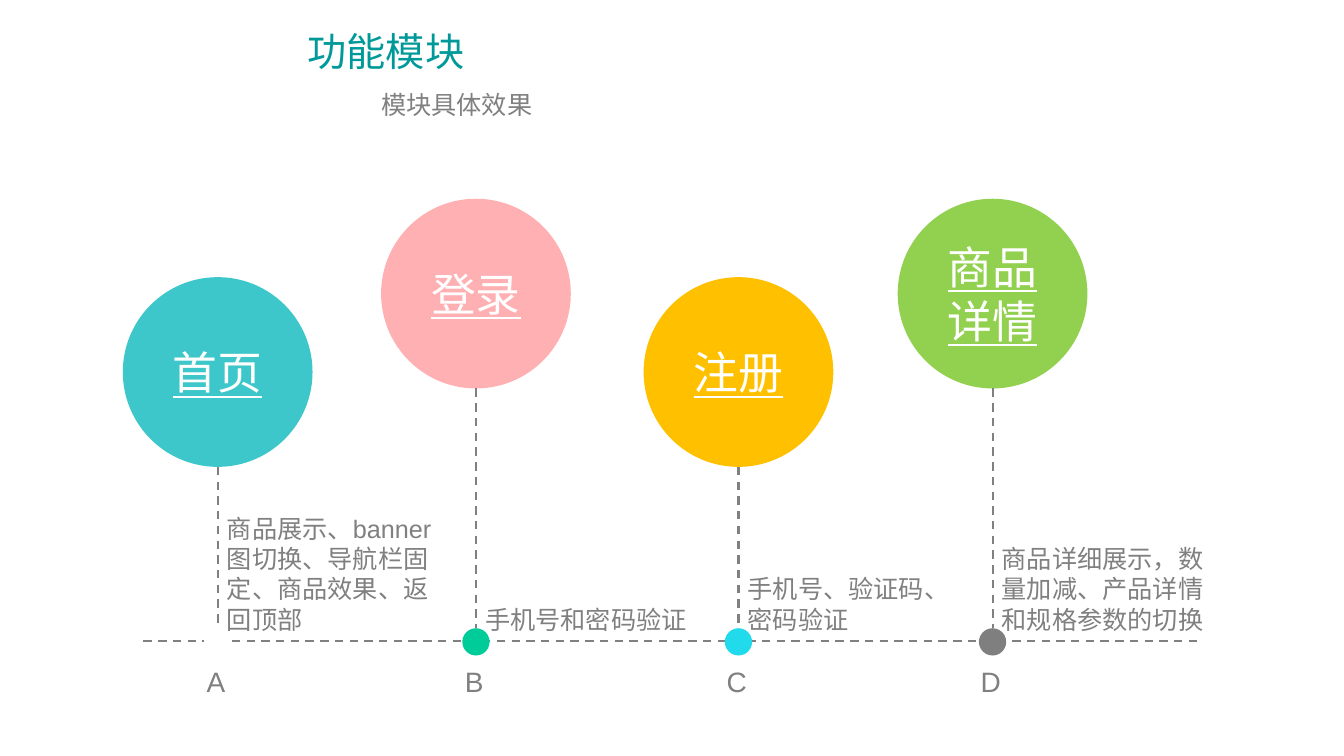
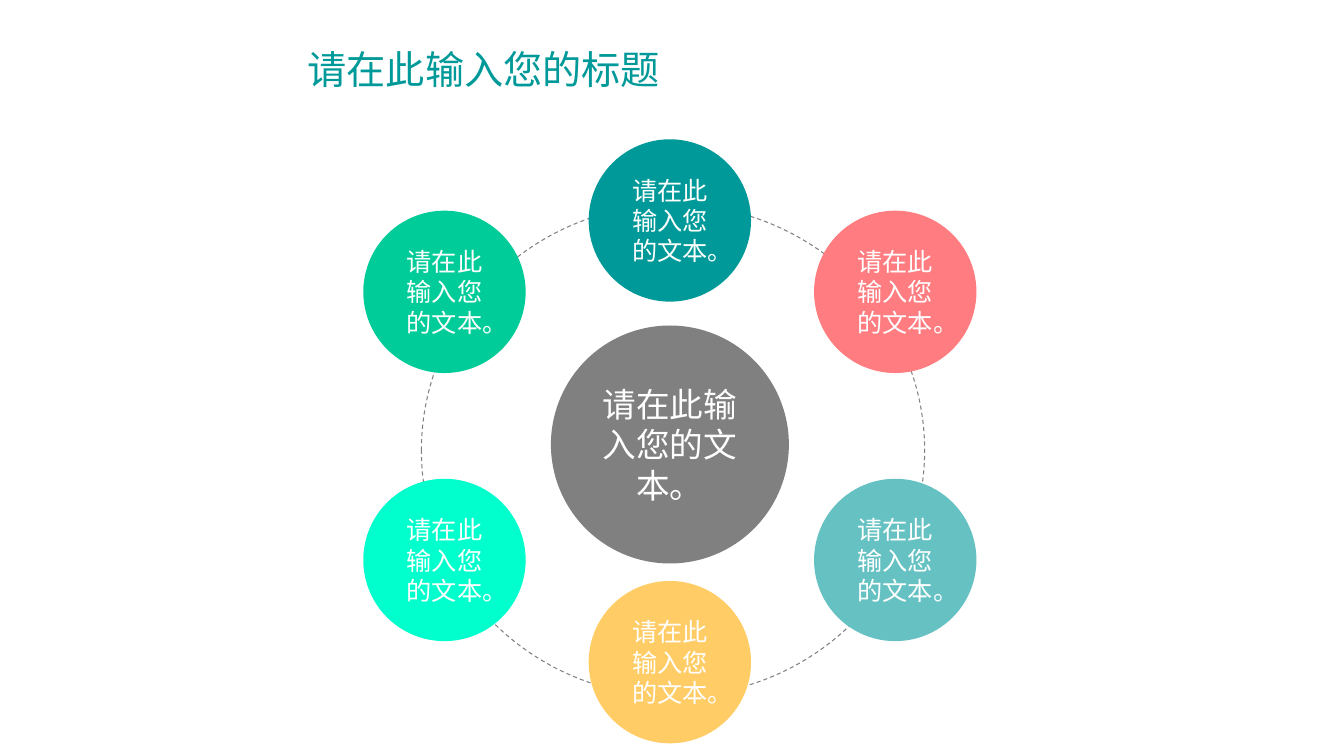
from dataclasses import dataclass

from lxml.etree import SubElement
from pptx import Presentation
from pptx.dml.color import RGBColor as Rgb
from pptx.enum.dml import MSO_LINE as Dash
from pptx.enum.shapes import MSO_CONNECTOR as Link, MSO_SHAPE as Kind
from pptx.enum.text import MSO_ANCHOR as Anchor, MSO_AUTO_SIZE as Fit, PP_ALIGN as Align
from pptx.oxml.ns import qn
from pptx.util import Pt

FONT = "Arial"
HEX = {
    "white": "FFFFFF", "gray": "808080", "slate": "7F7F7F", "teal": "009999",
    "aqua": "3EC7CA", "pink": "FFB0B3", "amber": "FFC000", "lime": "92D050",
    "green": "00CC99", "cyan": "21DAEC", "mist": "66C2C2", "coral": "FF7C80",
    "mint": "00FFCC", "sand": "FFCC66",
}


@dataclass
class Stop:
    x: float
    top: float
    fill: str
    dot: str
    name: str
    note: str
    mark: str


@dataclass
class Node:
    x: float
    y: float
    fill: str


# Slide 1: timeline
BALL, SPOT, AXIS = 135.5, 19.5, 458
LOW, HIGH = 198, 142
STOPS = [
    Stop(155.5, LOW, "aqua", "white", "首页",
         "商品展示、banner图切换、导航栏固定、商品效果、返回顶部", "A"),
    Stop(340, HIGH, "pink", "green", "登录", "手机号和密码验证", "B"),
    Stop(527.5, LOW, "amber", "cyan", "注册", "手机号、验证码、密码验证", "C"),
    Stop(709, HIGH, "lime", "slate", "商品详情",
         "商品详细展示，数量加减、产品详情和规格参数的切换", "D"),
]

# Slide 2: ring of nodes
MID, STEP, DISC, HUB = 478.5, 161, 116, 170
HINT = "请在此输入您的文本。"
NODES = [
    Node(MID + STEP, 400, "mist"),
    Node(MID + STEP, 208.5, "coral"),
    Node(MID, 157.5, "teal"),
    Node(MID - STEP, 208.5, "green"),
    Node(MID - STEP, 400, "mint"),
    Node(MID, 473, "sand"),
]


def tint(name: str) -> Rgb:
    return Rgb.from_string(HEX[name])


def write(shape, text: str, size: float, hue: str, align=Align.LEFT,
          anchor=Anchor.TOP, under: bool = False) -> None:
    """Fill a shape with one styled paragraph."""
    frame = shape.text_frame
    frame.text = text
    frame.word_wrap = True
    frame.auto_size = Fit.NONE
    frame.vertical_anchor = anchor
    para = frame.paragraphs[0]
    para.alignment = align
    para.space_before = Pt(0)
    para._p.get_or_add_pPr().set("hangingPunct", "1")
    font = para.runs[0].font
    font.name, font.size = FONT, Pt(size)
    font.color.rgb = tint(hue)
    if under:
        font.underline = True


def place(shape, x: float, y: float, w: float, h: float) -> None:
    shape.left, shape.top, shape.width, shape.height = Pt(x), Pt(y), Pt(w), Pt(h)


def head(slide, text: str, y: float, h: float) -> None:
    title = slide.shapes.title
    place(title, 212.5, y, 644, h)
    write(title, text, 28, "teal", anchor=Anchor.MIDDLE)


def label(slide, x: float, y: float, w: float, h: float, text: str,
          size: float, **style) -> None:
    box = slide.shapes.add_textbox(Pt(x), Pt(y), Pt(w), Pt(h))
    write(box, text, size, "gray", **style)


def stroke(line, width: float) -> None:
    line.color.rgb = tint("gray")
    line.width = Pt(width)
    line.dash_style = Dash.DASH


def rule(slide, x1: float, y1: float, x2: float, y2: float) -> None:
    line = slide.shapes.add_connector(Link.STRAIGHT, Pt(x1), Pt(y1), Pt(x2), Pt(y2))
    stroke(line.line, 1.5)
    SubElement(line._element.spPr, qn("a:effectLst"))


def disc(slide, x: float, y: float, size: float, fill: str, text: str = "",
         points: float = 18, under: bool = False) -> None:
    """Draw a filled circle centred on x, y."""
    ball = slide.shapes.add_shape(
        Kind.OVAL, Pt(x - size / 2), Pt(y - size / 2), Pt(size), Pt(size))
    ball.shadow.inherit = False
    ball.fill.solid()
    ball.fill.fore_color.rgb = tint(fill)
    ball.line.fill.background()
    if text:
        write(ball, text, points, "white", Align.CENTER, Anchor.MIDDLE, under)


def draw_stop(slide, stop: Stop) -> None:
    disc(slide, stop.x, stop.top + BALL / 2, BALL, stop.fill, stop.name, 32, True)
    disc(slide, stop.x, AXIS + 0.5, SPOT, stop.dot)
    rule(slide, stop.x, stop.top + BALL, stop.x, AXIS - SPOT / 2)
    label(slide, stop.x - 0.5, 352, 163, 104.5, stop.note, 18, anchor=Anchor.BOTTOM)
    label(slide, stop.x - 19, 471, 35.5, 32.5, stop.mark, 20, align=Align.CENTER)


def draw_line(deck) -> None:
    slide = deck.slides.add_slide(deck.slide_layouts[1])
    head(slide, "功能模块", 13.5, 46)
    # Subtitle without bullet
    body = slide.placeholders[1]
    place(body, 265, 60.5, 643.5, 29)
    write(body, "模块具体效果", 18, "gray")
    props = body.text_frame.paragraphs[0]._p.get_or_add_pPr()
    props.set("marL", "0")
    props.set("indent", "0")
    SubElement(props, qn("a:buNone"))
    # Axis and stops
    rule(slide, 102.5, AXIS, 859.5, AXIS)
    for stop in STOPS:
        draw_stop(slide, stop)


def draw_ring(deck) -> None:
    slide = deck.slides.add_slide(deck.slide_layouts[5])
    head(slide, "请在此输入您的标题", 13, 72.5)
    # Dashed orbit
    ring = slide.shapes.add_shape(Kind.OVAL, Pt(301), Pt(146), Pt(359.5), Pt(351.5))
    ring.shadow.inherit = False
    ring.fill.background()
    stroke(ring.line, 0.75)
    # Nodes and hub
    for node in NODES:
        disc(slide, node.x, node.y, DISC, node.fill, HINT)
    disc(slide, MID, 317.5, HUB, "gray", HINT, 24)


def main() -> None:
    deck = Presentation()
    deck.slide_width, deck.slide_height = Pt(960), Pt(540)
    draw_line(deck)
    draw_ring(deck)
    deck.save("out.pptx")


if __name__ == "__main__":
    main()
